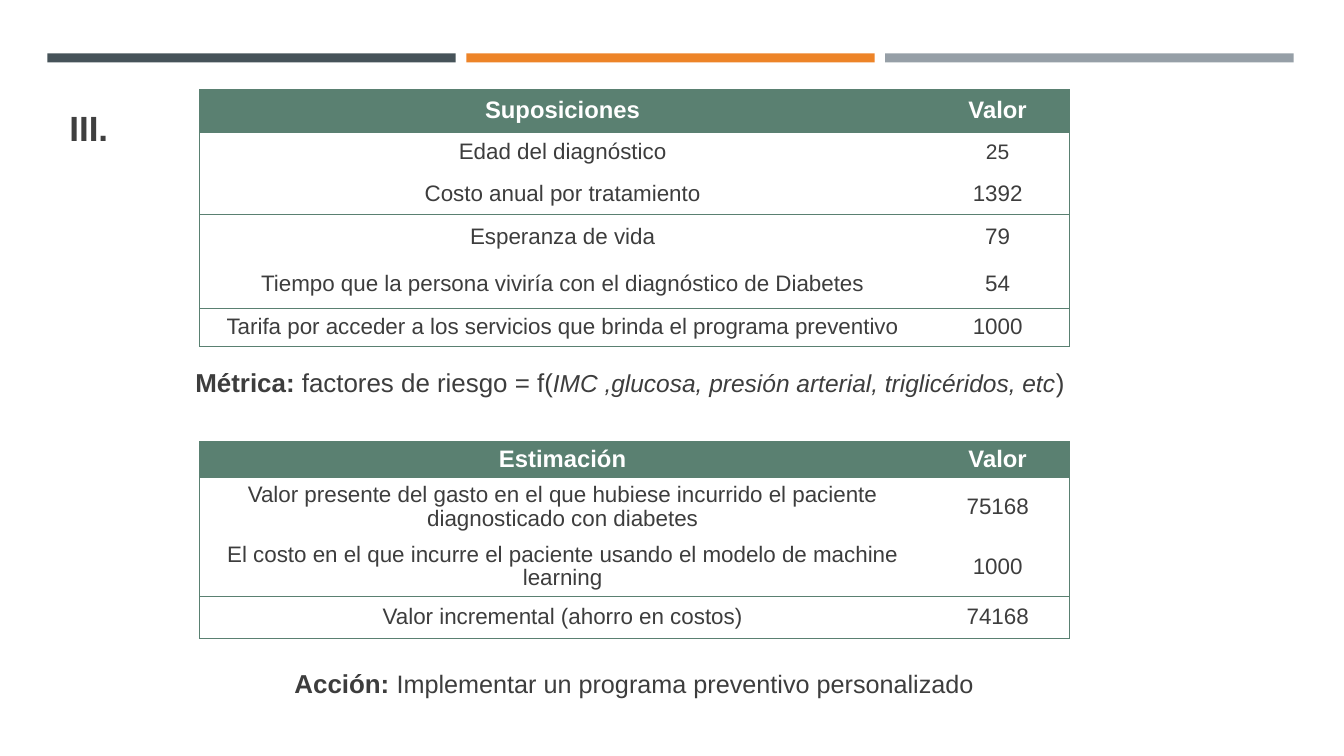
import pptx
import pptx.util
import pptx.dml.color
import pptx.enum.shapes
import pptx.enum.text
import pptx.oxml
import pptx.oxml.ns
from lxml import etree

Inch, Pt = pptx.util.Inches, pptx.util.Pt
Align, Anchor = pptx.enum.text.PP_ALIGN, pptx.enum.text.MSO_ANCHOR
WIDE, HIGH = 13.33, 7.5

# Content
HUES = {"slate": "465359", "orange": "ED8428", "gray": "969FA7",
        "green": "5A8071", "ink": "3D3D3D", "title": "3F3F3F", "white": "FFFFFF"}
BARS = ["slate", "orange", "gray"]
COLS = [7.2, 1.43]

# Each table: top, row heights, rows with a rule below, cells as (label, value)
TABLES = [
    (0.89, [0.42, 0.41, 0.41, 0.45, 0.48, 0.38], {2, 4}, [
        ("Suposiciones", "Valor"),
        ("Edad del diagnóstico", "25"),
        ("Costo anual por tratamiento", "1392"),
        ("Esperanza de vida", "79"),
        ("Tiempo que la persona viviría con el diagnóstico de Diabetes", "54"),
        ("Tarifa por acceder a los servicios que brinda el programa preventivo", "1000")]),
    (4.38, [0.36, 0.59, 0.59, 0.41], {2}, [
        ("Estimación", "Valor"),
        ("Valor presente del gasto en el que hubiese incurrido el paciente "
         "diagnosticado con diabetes", "75168"),
        ("El costo en el que incurre el paciente usando el modelo de machine learning", "1000"),
        ("Valor incremental (ahorro en costos)", "74168")]),
]
SMALL = {"25": 15}

# Each text: box, paragraph format, anchor, runs as (text, size, hue, bold, italic)
TEXTS = [
    ((1.84, 3.61, 8.9, 0.61),
     {"alignment": Align.JUSTIFY, "line_spacing": 0.95, "space_before": Pt(12)}, Anchor.TOP,
     [("Métrica: ", 18.5, "ink", True, False),
      ("factores de riesgo = f(", 18.5, "ink", False, False),
      ("IMC ,glucosa, presión arterial, triglicéridos, etc", 17.5, "ink", False, True),
      (")", 18.5, "ink", False, False)]),
    ((2.11, 6.6, 8.36, 0.61),
     {"alignment": Align.CENTER, "line_spacing": 0.95, "space_before": Pt(12)}, Anchor.TOP,
     [("Acción: ", 18.5, "ink", True, False),
      ("Implementar un programa preventivo personalizado", 18, "ink", False, False)]),
    ((0.59, 0.71, 0.73, 0.81), {"alignment": Align.LEFT}, Anchor.BOTTOM,
     [("III.", 25, "title", True, False)]),
]


def tint(name):
    return pptx.dml.color.RGBColor.from_string(HUES[name])


def apply(item, form):
    for key, val in form.items():
        setattr(item, key, val)


def write(para, runs, form):
    apply(para, form)
    for text, size, hue, bold, slant in runs:
        run = para.add_run()
        run.text = text
        apply(run.font, {"name": "Arial", "size": Pt(size), "bold": bold, "italic": slant})
        run.font.color.rgb = tint(hue)


def edge(cell, side, shown):
    props = cell._tc.get_or_add_tcPr()
    line = etree.SubElement(props, pptx.oxml.ns.qn("a:ln" + side), w=str(Pt(0.75)))
    if shown:
        fill = etree.SubElement(line, pptx.oxml.ns.qn("a:solidFill"))
        etree.SubElement(fill, pptx.oxml.ns.qn("a:srgbClr"), val=HUES["green"])
    else:
        etree.SubElement(line, pptx.oxml.ns.qn("a:noFill"))


def draw_bars(slide):
    wide, step = 4.05, 4.155
    for i, hue in enumerate(BARS):
        bar = slide.shapes.add_shape(pptx.enum.shapes.MSO_SHAPE.RECTANGLE,
                                     Inch(0.47 + i * step), Inch(0.53), Inch(wide), Inch(0.09))
        bar.shadow.inherit = False
        bar.fill.solid()
        bar.fill.fore_color.rgb = tint(hue)
        bar.line.fill.background()


def draw_table(slide, top, highs, rules, rows):
    frame = slide.shapes.add_table(len(rows), len(COLS), Inch(1.98), Inch(top),
                                   Inch(sum(COLS)), Inch(sum(highs)))
    grid = frame.table
    for col, wide in zip(grid.columns, COLS):
        col.width = Inch(wide)
    # Rules sit above the first row, below the header and last row, and where listed
    lines = rules | {-1, 0, len(rows) - 1}
    for r, row in enumerate(rows):
        grid.rows[r].height = Inch(highs[r])
        head = r == 0
        for c, text in enumerate(row):
            cell = grid.cell(r, c)
            cell.vertical_anchor = Anchor.MIDDLE
            for side, shown in {"L": c == 0, "R": c == len(COLS) - 1,
                                "T": r - 1 in lines, "B": r in lines}.items():
                edge(cell, side, shown)
            if head:
                cell.fill.solid()
                cell.fill.fore_color.rgb = tint("green")
            else:
                cell.fill.background()
            size = 17 if head else SMALL.get(text, 16)
            write(cell.text_frame.paragraphs[0],
                  [(text, size, "white" if head else "ink", head, False)],
                  {"alignment": Align.CENTER, "line_spacing": 0.95})


def draw_text(slide, box, form, anchor, runs):
    frame = slide.shapes.add_textbox(*map(Inch, box)).text_frame
    apply(frame, {"word_wrap": True, "vertical_anchor": anchor})
    write(frame.paragraphs[0], runs, form)


def main():
    deck = pptx.Presentation()
    apply(deck, {"slide_width": Inch(WIDE), "slide_height": Inch(HIGH)})
    slide = deck.slides.add_slide(deck.slide_layouts[6])
    draw_bars(slide)
    for table in TABLES:
        draw_table(slide, *table)
    for text in TEXTS:
        draw_text(slide, *text)
    deck.save("out.pptx")


if __name__ == "__main__":
    main()
